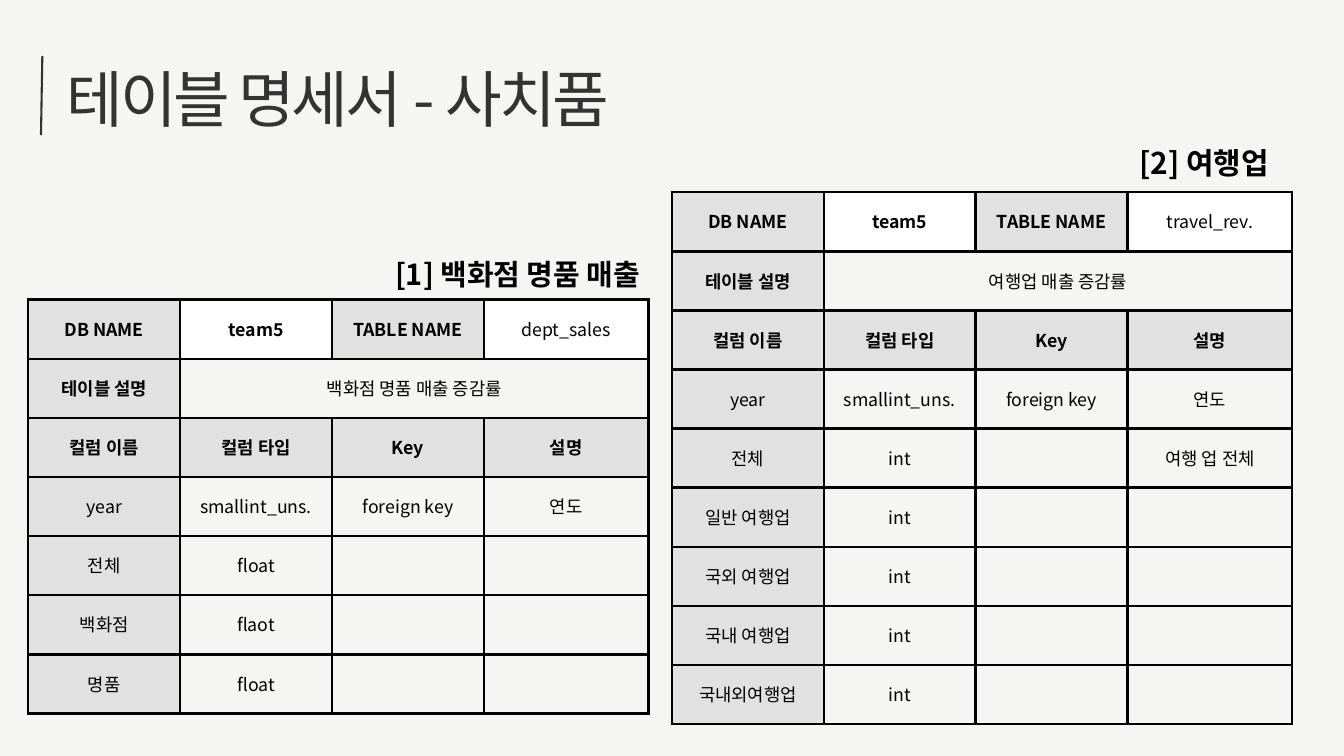
from collections import namedtuple
from lxml import etree
from pptx import Presentation
from pptx.dml.color import RGBColor
from pptx.enum.shapes import MSO_CONNECTOR
from pptx.enum.text import MSO_ANCHOR, MSO_AUTO_SIZE, PP_ALIGN
from pptx.oxml.ns import qn
from pptx.util import Inches, Pt

LEFT, MID, RIGHT = PP_ALIGN.LEFT, PP_ALIGN.CENTER, PP_ALIGN.RIGHT
ANCHOR = MSO_ANCHOR.MIDDLE
GROW = MSO_AUTO_SIZE.SHAPE_TO_FIT_TEXT
LINE = MSO_CONNECTOR.STRAIGHT

Theme = namedtuple("Theme", "font page ink head gray white cell title rule edge track")
theme = Theme("Noto Sans CJK KR", "F5F5F4", "000000", "333333", "E1E1E1", "FFFFFF",
              19, 66, 2.25, 3, -320)
rgb = RGBColor.from_string

deck = Presentation()
deck.slide_width, deck.slide_height = Inches(20), Inches(11.25)
COL, ROW = deck.slide_width / 100, deck.slide_height / 100
slide = deck.slides.add_slide(deck.slide_layouts[6])
slide.background.fill.solid()
slide.background.fill.fore_color.rgb = rgb(theme.page)


def place(x, y, w, h):
    return [round(v) for v in (x * COL, y * ROW, w * COL, h * ROW)]


def write(frame, text, size, lead, align, color, bold):
    para = frame.paragraphs[0]
    para.alignment = align
    para.line_spacing = Pt(lead)
    run = para.add_run()
    run.text = text
    run.font.size = Pt(size)
    run.font.bold = bold
    run.font.color.rgb = rgb(color)
    run.font.name = theme.font
    etree.SubElement(run.font._element, qn("a:ea"), typeface=theme.font)
    return run


labels = [
    ("테이블 명세서 - 사치품", (4.95, 8.09, 61.2, 9.78), theme.title, LEFT, theme.head, False, 0),
    ("[1] 백화점 명품 매출", (24.65, 33.96, 23.55, 4.62), 31, RIGHT, theme.ink, True, 0.6),
    ("[2] 여행업", (71.95, 19.2, 23.55, 4.8), 32, RIGHT, theme.ink, True, 1.1),
]
for text, area, size, align, color, bold, gap in labels:
    box = slide.shapes.add_textbox(*place(*area))
    frame = box.text_frame
    frame.word_wrap = True
    frame.auto_size = GROW
    frame.margin_left = frame.margin_top = frame.margin_bottom = 0
    frame.margin_right = round(gap * COL)
    run = write(frame, text, size, size * 1.2, align, color, bold)
    if size == theme.title:
        run.font._element.set("spc", str(theme.track))

x, y, w, h = place(3.05, 17.87, 0.1, -10.49)
bar = slide.shapes.add_connector(LINE, x, y, x + w, y + h)
bar.line.color.rgb = rgb(theme.head)
bar.line.width = Pt(theme.rule)
etree.SubElement(bar._element.spPr, qn("a:effectLst"))

names = ["컬럼 이름", "컬럼 타입", "Key", "설명"]
year = ["year", "smallint_uns.", "foreign key", "연도"]
tables = [
    (2.1, 39.64, [
        ["DB NAME", "team5", "TABLE NAME", "dept_sales"],
        ["테이블 설명", "백화점 명품 매출 증감률"],
        names,
        year,
        ["전체", "float"],
        ["백화점", "flaot"],
        ["명품", "float"],
    ]),
    (50, 25.42, [
        ["DB NAME", "team5", "TABLE NAME", "travel_rev."],
        ["테이블 설명", "여행업 매출 증감률"],
        names,
        year,
        ["전체", "int", "", "여행 업 전체"],
        ["일반 여행업", "int"],
        ["국외 여행업", "int"],
        ["국내 여행업", "int"],
        ["국내외여행업", "int"],
    ]),
]
widths = [11.3, 11.3, 11.3, 12.25]
tall = 7.82
pad = round(1.05 * COL)

for left, top, rows in tables:
    area = place(left, top, sum(widths), tall * len(rows))
    grid = slide.shapes.add_table(len(rows), len(widths), *area).table
    grid.first_row = grid.horz_banding = False
    for col, width in zip(grid.columns, widths):
        col.width = round(width * COL)
    for r, row in enumerate(rows):
        grid.rows[r].height = round(tall * ROW)
        for c in range(len(widths)):
            cell = grid.cell(r, c)
            cell.vertical_anchor = ANCHOR
            cell.margin_left = cell.margin_right = pad
            cell.margin_top = cell.margin_bottom = pad
            props = cell._tc.get_or_add_tcPr()
            for side in "LRTB":
                edge = etree.SubElement(props, qn("a:ln" + side), w=str(Pt(theme.edge)))
                fill = etree.SubElement(edge, qn("a:solidFill"))
                etree.SubElement(fill, qn("a:srgbClr"), val=theme.ink)
            if c == 0 or r == 2 or (r, c) == (0, 2):
                cell.fill.solid()
                cell.fill.fore_color.rgb = rgb(theme.gray)
            elif r == 0:
                cell.fill.solid()
                cell.fill.fore_color.rgb = rgb(theme.white)
            else:
                cell.fill.background()
            if c < len(row) and row[c]:
                bold = r == 2 or (r == 0 and c < 3) or (r, c) == (1, 0)
                write(cell.text_frame, row[c], theme.cell, theme.cell * 1.4, MID, theme.ink, bold)
    grid.cell(1, 1).merge(grid.cell(1, 3))

deck.save("out.pptx")
